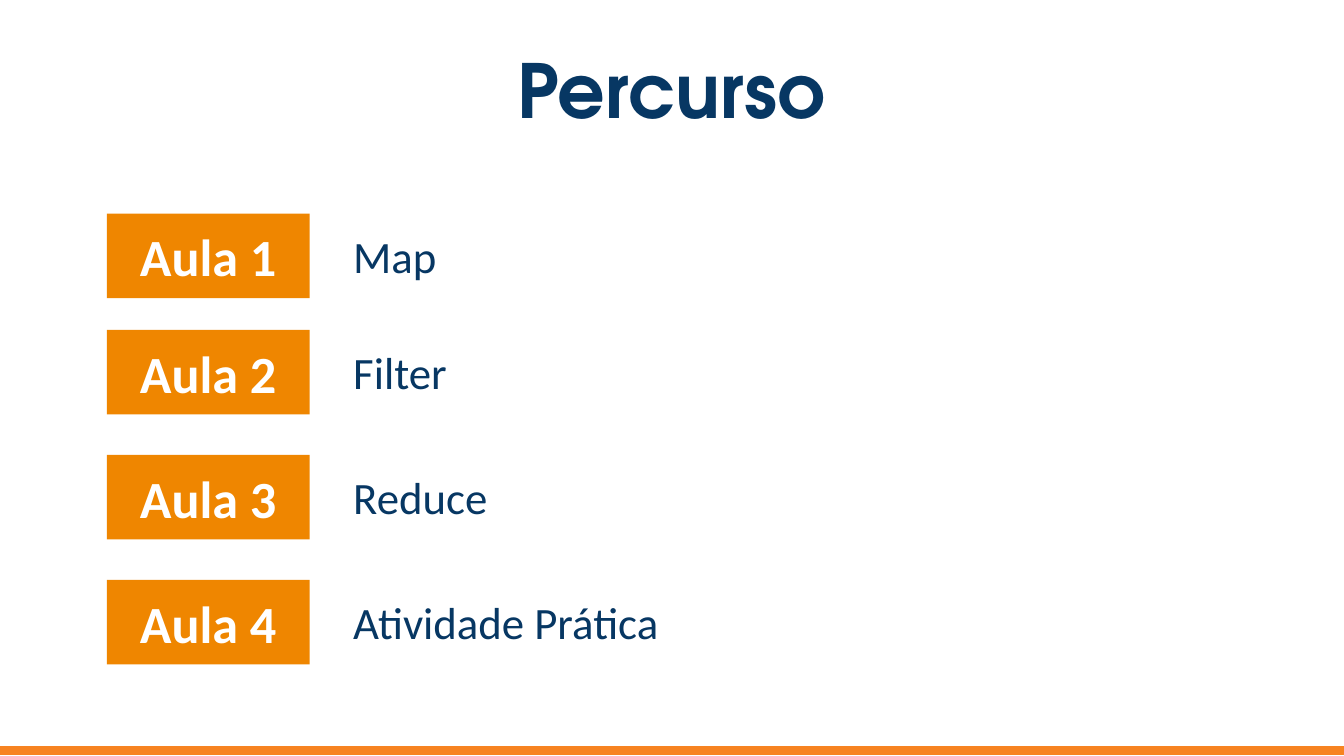
from pptx import Presentation
from pptx.dml.color import RGBColor
from pptx.enum.shapes import MSO_SHAPE
from pptx.enum.text import MSO_ANCHOR, PP_ALIGN
from pptx.util import Pt

RECTANGLE = MSO_SHAPE.RECTANGLE
MIDDLE, TOP = MSO_ANCHOR.MIDDLE, MSO_ANCHOR.TOP
CENTER, LEFT = PP_ALIGN.CENTER, PP_ALIGN.LEFT

COLORS = {"navy": "073763", "orange": "EF8600", "stripe": "F78321", "white": "FFFFFF"}
HEADING_FONT, BODY_FONT = "TeX Gyre Adventor", "Calibri"
SLIDE_WIDTH, SLIDE_HEIGHT = 960, 540
SIDE_INSET = 9.6
LESSONS = [
    ("Aula 1", "Map", 152.6, 453.6),
    ("Aula 2", "Filter", 235.6, 262.8),
    ("Aula 3", "Reduce", 324.9, 262.8),
    ("Aula 4", "Atividade Prática", 414.2, 262.8),
]


def color(name):
    return RGBColor.from_string(COLORS[name])


def write(holder, text, size, font, ink, bold=False, align=CENTER,
          anchor=MIDDLE, vertical_inset=SIDE_INSET):
    frame = holder.text_frame
    frame.word_wrap = True
    frame.vertical_anchor = anchor
    frame.margin_left = frame.margin_right = Pt(SIDE_INSET)
    frame.margin_top = frame.margin_bottom = Pt(vertical_inset)
    paragraph = frame.paragraphs[0]
    paragraph.alignment = align
    run = paragraph.add_run()
    run.text = text
    run.font.size = Pt(size)
    run.font.name = font
    run.font.bold = bold
    run.font.color.rgb = color(ink)


def add_text(slide, box, *args, **options):
    write(slide.shapes.add_textbox(*map(Pt, box)), *args, **options)


def add_block(slide, box, fill):
    block = slide.shapes.add_shape(RECTANGLE, *map(Pt, box))
    block.shadow.inherit = False
    block.fill.solid()
    block.fill.fore_color.rgb = color(fill)
    block.line.fill.background()
    return block


def add_heading(slide, box):
    add_text(slide, box, "Percurso", 53.3, HEADING_FONT, "navy", bold=True)


def add_footer_stripe(slide, box):
    stripe = add_block(slide, box, "stripe")
    stripe.line.color.rgb = color("stripe")
    stripe.line.width = Pt(0.75)


def add_lesson(slide, box, label, topic):
    left, top, width, height = box
    label_width, topic_offset, topic_height = 144.7, 166.3, 48.2
    tag = add_block(slide, (left, top, label_width, height), "orange")
    write(tag, label, 37.3, BODY_FONT, "white", bold=True)
    topic_box = (left + topic_offset, top + (height - topic_height) / 2,
                 width - topic_offset, topic_height)
    add_text(slide, topic_box, topic, 32, BODY_FONT, "navy",
             align=LEFT, anchor=TOP, vertical_inset=4.8)


def build_course_path(slide):
    add_heading(slide, (32.4, 32.4, 894.3, 61.9))
    add_footer_stripe(slide, (0, 533, SLIDE_WIDTH, 6))
    for label, topic, top, topic_width in LESSONS:
        add_lesson(slide, (76.4, top, 166.3 + topic_width, 60.4), label, topic)


presentation = Presentation()
presentation.slide_width = Pt(SLIDE_WIDTH)
presentation.slide_height = Pt(SLIDE_HEIGHT)
build_course_path(presentation.slides.add_slide(presentation.slide_layouts[6]))
presentation.save("out.pptx")
